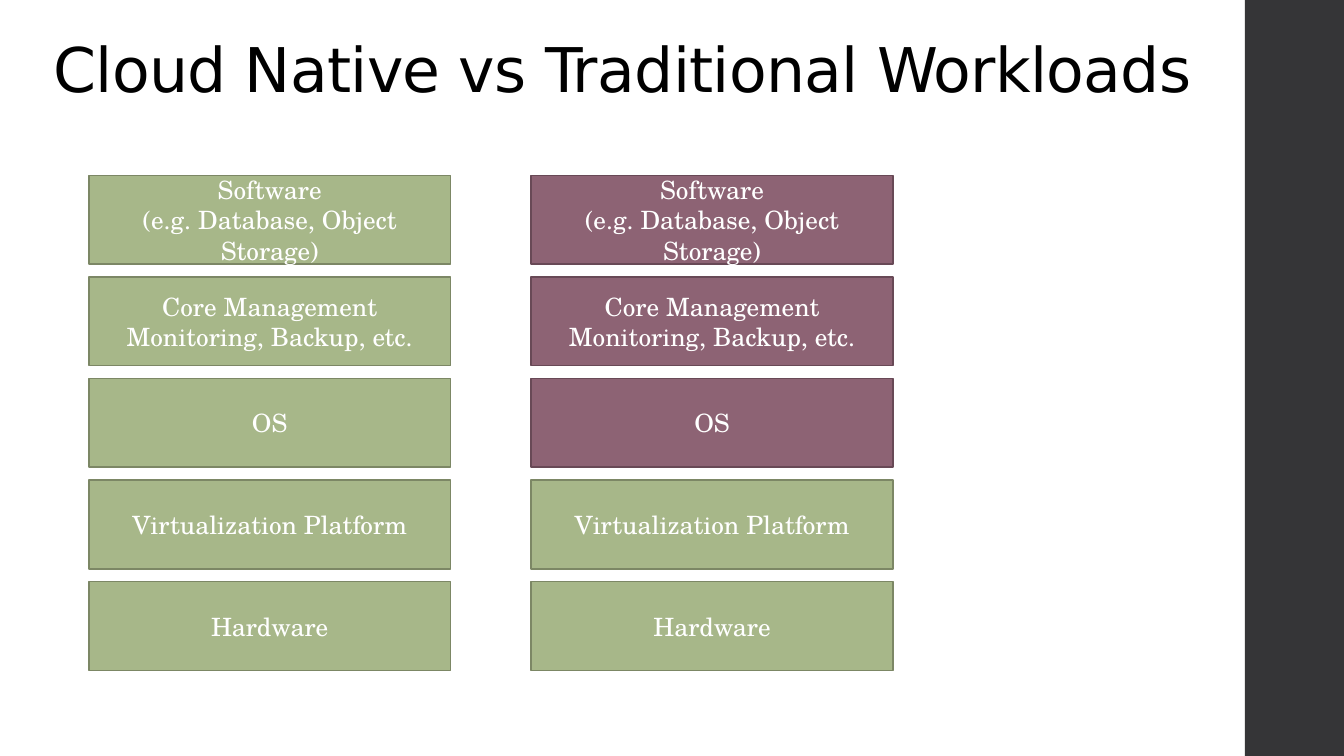
from pptx import Presentation
from pptx.dml.color import RGBColor
from pptx.enum.shapes import MSO_SHAPE as SHAPE
from pptx.enum.text import MSO_ANCHOR as ANCHOR, PP_ALIGN as ALIGN
from pptx.util import Pt

WHITE = RGBColor(0xFF, 0xFF, 0xFF)
BLACK = RGBColor(0x00, 0x00, 0x00)
CHARCOAL = RGBColor(0x35, 0x35, 0x37)
GREEN = RGBColor(0xA7, 0xB7, 0x89)
GREEN_EDGE = RGBColor(0x7C, 0x87, 0x65)
PLUM = RGBColor(0x8D, 0x63, 0x74)
PLUM_EDGE = RGBColor(0x68, 0x49, 0x56)

LAYERS = [
    ["Software", "(e.g. Database, Object Storage)"],
    ["Core Management", "Monitoring, Backup, etc."],
    ["OS"],
    ["Virtualization Platform"],
    ["Hardware"],
]
STACKS = [(63.4, 0), (379.4, 3)]
TOP, PITCH = 125.2, 72.55
BOX_W, BOX_H = 258.5, 63.4


def add_rect(x, y, w, h, fill):
    sp = s.shapes.add_shape(SHAPE.RECTANGLE, Pt(x), Pt(y), Pt(w), Pt(h))
    sp.shadow.inherit = False
    sp.fill.solid()
    sp.fill.fore_color.rgb = fill
    return sp


def add_run(p, text, font, size, color):
    r = p.add_run()
    r.text = text
    r.font.name = font
    r.font.size = Pt(size)
    r.font.color.rgb = color
    return r


prs = Presentation()
prs.slide_width, prs.slide_height = Pt(960), Pt(540)
s = prs.slides.add_slide(prs.slide_layouts[6])

bar = add_rect(889.2, 0, 70.8, 540, CHARCOAL)
bar.line.fill.background()

title = s.shapes.add_textbox(Pt(31), Pt(15.8), Pt(831.6), Pt(63.4))
tf = title.text_frame
tf.word_wrap = True
tf.vertical_anchor = ANCHOR.BOTTOM
p = tf.paragraphs[0]
p.line_spacing = 0.9
r = add_run(p, "Cloud Native vs Traditional Workloads", "DejaVu Sans", 44, BLACK)
r.font._element.set("spc", "-50")

for x, plum_count in STACKS:
    for i, lines in enumerate(LAYERS):
        fill, edge = (PLUM, PLUM_EDGE) if i < plum_count else (GREEN, GREEN_EDGE)
        sp = add_rect(x, TOP + i * PITCH, BOX_W, BOX_H, fill)
        sp.line.color.rgb = edge
        sp.line.width = Pt(1.1)
        tf = sp.text_frame
        tf.word_wrap = True
        tf.vertical_anchor = ANCHOR.MIDDLE
        for n, line in enumerate(lines):
            p = tf.add_paragraph() if n else tf.paragraphs[0]
            p.alignment = ALIGN.CENTER
            add_run(p, line, "TeX Gyre Schola", 18, WHITE)

prs.save("out.pptx")
